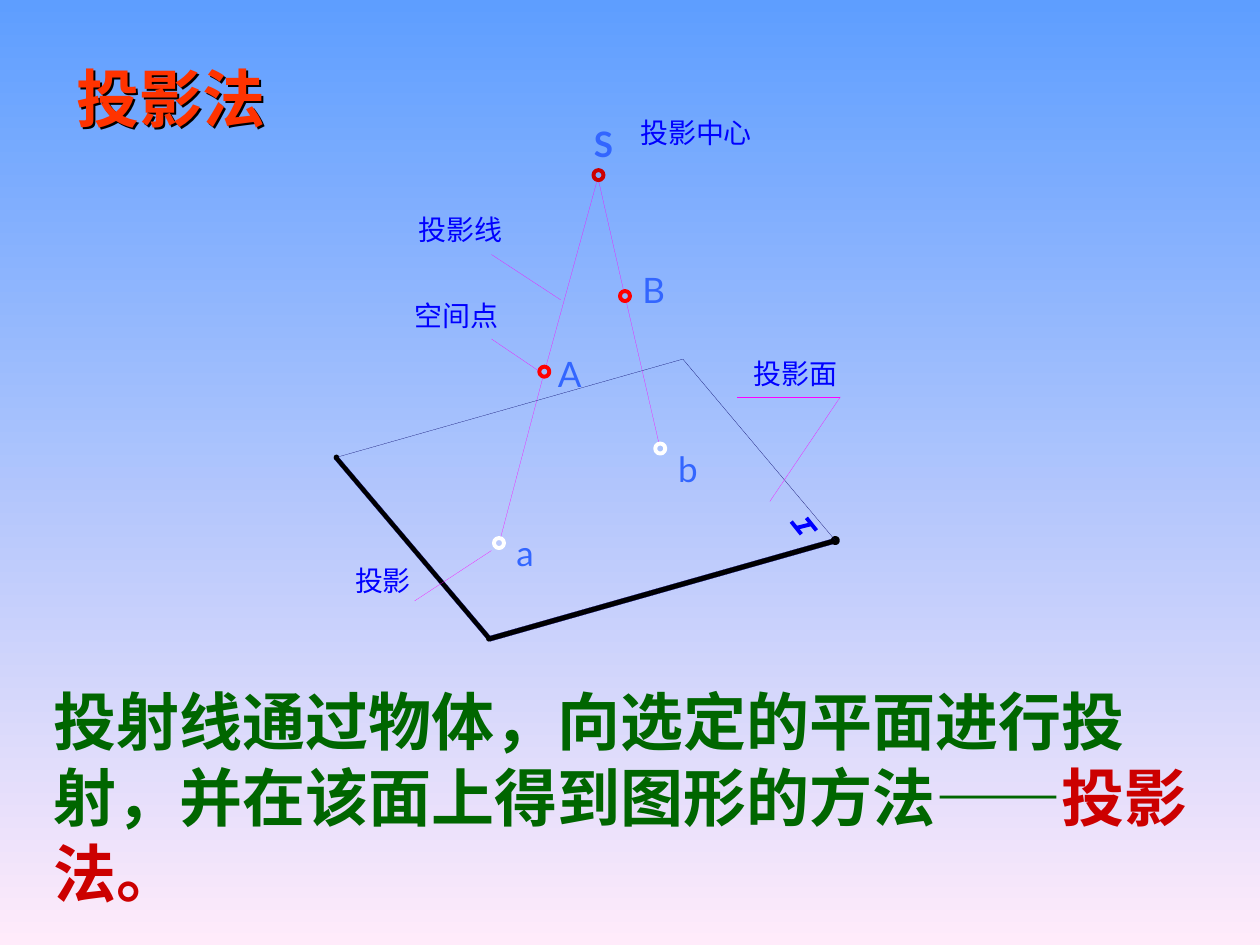
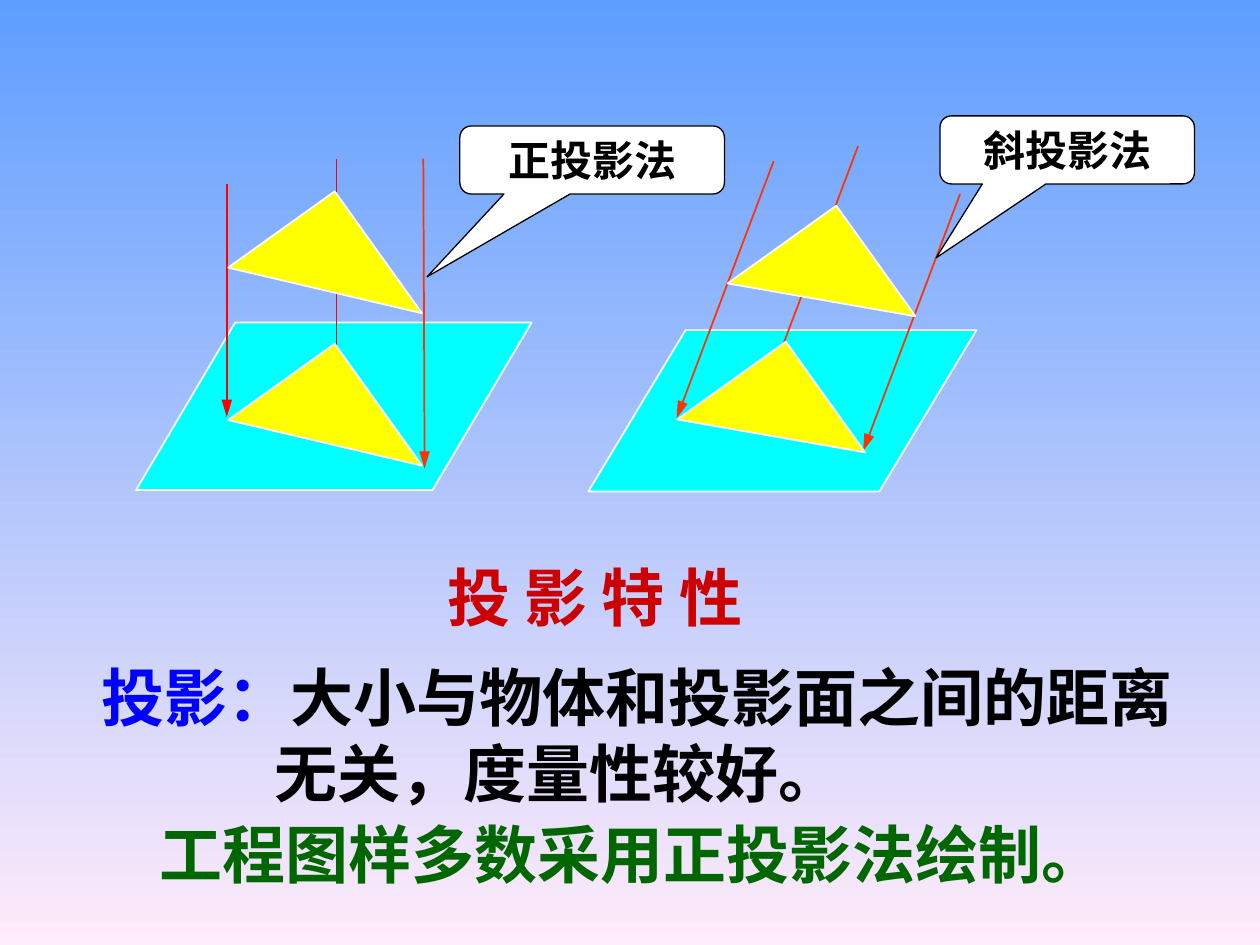
from lxml import etree
from pptx import Presentation
from pptx.dml.color import RGBColor
from pptx.enum.shapes import MSO_CONNECTOR as CONNECTOR, MSO_SHAPE as SHAPE
from pptx.enum.text import MSO_ANCHOR as ANCHOR, MSO_AUTO_SIZE as AUTO_SIZE, PP_ALIGN as ALIGN
from pptx.oxml.ns import qn
from pptx.util import Inches, Pt

SKY = RGBColor(0x5E, 0x9E, 0xFF)
BLUSH = RGBColor(0xFF, 0xEB, 0xFA)
ORANGE = RGBColor(0xFF, 0x33, 0x00)
RED = RGBColor(0xFF, 0x00, 0x00)
CRIMSON = RGBColor(0xCC, 0x00, 0x00)
GREEN = RGBColor(0x00, 0x66, 0x00)
BLUE = RGBColor(0x00, 0x00, 0xFF)
LETTER_BLUE = RGBColor(0x33, 0x66, 0xFF)
NAVY = RGBColor(0x00, 0x00, 0x66)
MAGENTA = RGBColor(0xFF, 0x00, 0xFF)
CYAN = RGBColor(0x00, 0xFF, 0xFF)
YELLOW = RGBColor(0xFF, 0xFF, 0x00)
WHITE = RGBColor(0xFF, 0xFF, 0xFF)
BLACK = RGBColor(0x00, 0x00, 0x00)

SERIF = "Times New Roman"
CJK = "Noto Sans CJK SC"
LATIN = "Lato"
HAIRLINE = 0.1


def inches(*lengths):
    return [Inches(length) for length in lengths]


def set_background(master):
    fill = master.background.fill
    fill.gradient()
    fill.gradient_angle = 270
    for stop, color in zip(fill.gradient_stops, (SKY, BLUSH)):
        stop.color.rgb = color


def format_run(run, size, font, color, bold):
    run.font.size = Pt(size)
    run.font.bold = bold
    run.font.color.rgb = color
    run.font.name = font
    latin = run.font._element.find(qn("a:latin"))
    latin.addnext(latin.makeelement(qn("a:ea"), {"typeface": CJK}))


def write(frame, paragraphs, size, font, bold=False, align=ALIGN.LEFT, anchor=ANCHOR.MIDDLE):
    frame.auto_size = AUTO_SIZE.NONE
    frame.vertical_anchor = anchor
    for index, pieces in enumerate(paragraphs):
        paragraph = frame.add_paragraph() if index else frame.paragraphs[0]
        paragraph.alignment = align
        paragraph._p.get_or_add_pPr().set("hangingPunct", "0")
        for text, color in pieces:
            run = paragraph.add_run()
            run.text = text
            format_run(run, size, font, color, bold)


def add_title(slide, text, box, font, color):
    title = slide.shapes.title
    title.left, title.top, title.width, title.height = inches(*box)
    title.text_frame.word_wrap = True
    write(title.text_frame, [[(text, color)]], 36, font, True, ALIGN.CENTER)
    return title


def cast_shadow(title):
    title.fill.background()
    effects = etree.SubElement(title._element.spPr, qn("a:effectLst"))
    shadow = etree.SubElement(effects, qn("a:outerShdw"), dist="20500", dir="2700000")
    etree.SubElement(shadow, qn("a:srgbClr"), val="000000")


def add_statement(slide, box, paragraphs):
    statement = slide.shapes.add_textbox(*inches(*box))
    statement.text_frame.word_wrap = True
    write(statement.text_frame, paragraphs, 36, SERIF, True)
    return statement.text_frame


def add_caption(slide, text, box):
    frame = slide.shapes.add_textbox(*inches(*box)).text_frame
    frame.margin_left = frame.margin_right = frame.margin_top = frame.margin_bottom = 0
    frame.word_wrap = False
    write(frame, [[(text, BLUE)]], 16, CJK, align=ALIGN.CENTER, anchor=ANCHOR.TOP)


def add_letter(slide, letter, left, top, width, bold=False):
    frame = slide.shapes.add_textbox(*inches(left, top, width, 0.44)).text_frame
    frame.word_wrap = True
    write(frame, [[(letter, LETTER_BLUE)]], 20, LATIN, bold, ALIGN.CENTER, ANCHOR.TOP)


def add_line(slide, start, end, color, width=HAIRLINE, arrow=False):
    line = slide.shapes.add_connector(CONNECTOR.STRAIGHT, *inches(*start, *end))
    line.line.color.rgb = color
    line.line.width = Pt(width)
    properties = line._element.spPr
    if arrow:
        outline = properties.find(qn("a:ln"))
        etree.SubElement(outline, qn("a:tailEnd"), type="triangle", len="lg")
    etree.SubElement(properties, qn("a:effectLst"))


def paint(shape, fill, outline, width):
    shape.shadow.inherit = False
    if fill is None:
        shape.fill.background()
    else:
        shape.fill.solid()
        shape.fill.fore_color.rgb = fill
    shape.line.color.rgb = outline
    shape.line.width = Pt(width)


def add_preset(slide, kind, box, fill, outline, width, adjustments=()):
    shape = slide.shapes.add_shape(kind, *inches(*box))
    for index, value in enumerate(adjustments):
        shape.adjustments[index] = value
    paint(shape, fill, outline, width)
    return shape


def add_dot(slide, center, diameter, fill, outline, width):
    x, y = center
    box = (x - diameter / 2, y - diameter / 2, diameter, diameter)
    add_preset(slide, SHAPE.OVAL, box, fill, outline, width)


def add_thick_edge(slide, points):
    start, *rest = [inches(*point) for point in points]
    builder = slide.shapes.build_freeform(*start)
    builder.add_line_segments(rest, close=True)
    paint(builder.convert_to_shape(), BLACK, NAVY, HAIRLINE)


def add_projection_plane(slide):
    left, front, right, back = (2.67, 3.63), (3.88, 5.07), (6.63, 4.29), (5.42, 2.85)
    add_thick_edge(slide, [(3.88, 5.05), (3.89, 5.09), (6.64, 4.31), (6.63, 4.27)])
    add_thick_edge(slide, [(2.68, 3.62), (2.65, 3.64), (3.87, 5.08), (3.9, 5.06)])
    for corner, width in ((left, HAIRLINE), (front, HAIRLINE), (right, 2.25)):
        add_dot(slide, corner, 0.04, BLACK, BLACK, width)
    add_line(slide, right, back, NAVY)
    add_line(slide, back, left, NAVY)
    for start, end in (((6.36, 4.24), (6.28, 4.14)), ((6.32, 4.19), (6.44, 4.16)),
                       ((6.4, 4.11), (6.48, 4.21))):
        add_line(slide, start, end, BLUE, 2.25)


def add_callout(slide, text, box, pointer):
    callout = add_preset(slide, SHAPE.ROUNDED_RECTANGULAR_CALLOUT, box, WHITE, BLACK, 0.75,
                         (*pointer, 0.167))
    callout.text_frame.word_wrap = True
    write(callout.text_frame, [[(text, BLACK)]], 24, SERIF, True, ALIGN.CENTER)


def add_parallel_projection(slide, plane, slant, rays, triangles):
    add_preset(slide, SHAPE.PARALLELOGRAM, plane, CYAN, WHITE, 1, [slant])
    for start, end, color in rays:
        add_line(slide, start, end, color, 1, arrow=True)
    for box in triangles:
        add_preset(slide, SHAPE.RIGHT_TRIANGLE, box, YELLOW, WHITE, 1).rotation = 144.4


def build_method_slide(slide):
    cast_shadow(add_title(slide, "投影法", (0.33, 0.42, 2.06, 0.7), SERIF, ORANGE))

    for start, end in (((4.74, 1.43), (4.33, 2.92)), ((4.31, 2.99), (3.97, 4.28)),
                       ((4.75, 1.43), (4.95, 2.31)), ((4.97, 2.39), (5.23, 3.52))):
        add_line(slide, start, end, MAGENTA)
    for center, color in (((4.75, 1.39), CRIMSON), ((4.32, 2.95), RED), ((4.96, 2.35), RED),
                          ((3.96, 4.31), WHITE), ((5.24, 3.56), WHITE)):
        add_dot(slide, center, 0.08, None, color, 2.25)
    add_projection_plane(slide)

    for text, left, top, width in (("投影中心", 5.08, 0.92, 0.89), ("投影面", 5.98, 2.83, 0.67),
                                   ("投影线", 3.32, 1.69, 0.67), ("空间点", 3.29, 2.37, 0.67),
                                   ("投影", 2.82, 4.47, 0.44)):
        add_caption(slide, text, (left, top, width, 0.27))
    for start, end in (((4.45, 2.38), (3.9, 2.02)), ((4.27, 2.94), (3.9, 2.69)),
                       ((3.9, 4.37), (3.29, 4.77)), ((6.11, 3.98), (6.67, 3.15)),
                       ((6.67, 3.15), (5.85, 3.15))):
        add_line(slide, start, end, MAGENTA)

    add_letter(slide, "S", 4.58, 0.92, 0.42, bold=True)
    for letter, left, top, width in (("B", 5, 2.08, 0.33), ("A", 4.33, 2.75, 0.33),
                                     ("b", 5.25, 3.5, 0.42), ("a", 4, 4.17, 0.33)):
        add_letter(slide, letter, left, top, width)
    add_statement(slide, (0.33, 5.67, 9.28, 1.3), [
        [("投射线通过物体，向选定的平面进行投射，并在该面上得到图形的方法——", GREEN),
         ("投影法。", CRIMSON)]])


def build_property_slide(slide):
    add_title(slide, "投 影 特 性", (3, 4.38, 3.44, 0.7), CJK, CRIMSON)
    frame = add_statement(slide, (0.71, 5.18, 9.04, 1.3), [
        [("投影：", BLUE), ("大小与物体和投影面之间的距离", BLACK)],
        [("无关，度量性较好。", BLACK)]])
    frame.paragraphs[1]._p.get_or_add_pPr().set("marL", str(Inches(1.37)))

    add_parallel_projection(
        slide, (1.08, 2.56, 3.14, 1.33), 0.592,
        [((2.67, 1.26), (2.67, 3.41), RED), ((3.36, 1.26), (3.37, 3.72), ORANGE),
         ((1.8, 1.46), (1.8, 3.31), RED)],
        [(2.06, top, 1.04, 1.19) for top in (1.71, 2.92)])
    add_parallel_projection(
        slide, (4.67, 2.62, 3.08, 1.28), 0.602,
        [((x + 0.77, y - 2.04), (x, y), ORANGE)
         for x, y in ((6.85, 3.58), (6.04, 3.2), (5.37, 3.32))],
        [(left, top, 1.06, 1.08) for left, top in ((5.59, 2.92), (5.99, 1.84))])

    add_statement(slide, (1.17, 6.42, 7.92, 0.7), [[("工程图样多数采用正投影法绘制。", GREEN)]])
    add_callout(slide, "斜投影法", (7.46, 0.92, 2.02, 0.54), (-0.515, 1.586))
    add_callout(slide, "正投影法", (3.65, 1, 2.1, 0.54), (-0.624, 1.717))


def main():
    deck = Presentation()
    deck.slide_width, deck.slide_height = inches(10, 7.5)
    set_background(deck.slide_master)
    title_only = deck.slide_layouts[5]
    for build in (build_method_slide, build_property_slide):
        build(deck.slides.add_slide(title_only))
    deck.save("out.pptx")


if __name__ == "__main__":
    main()
